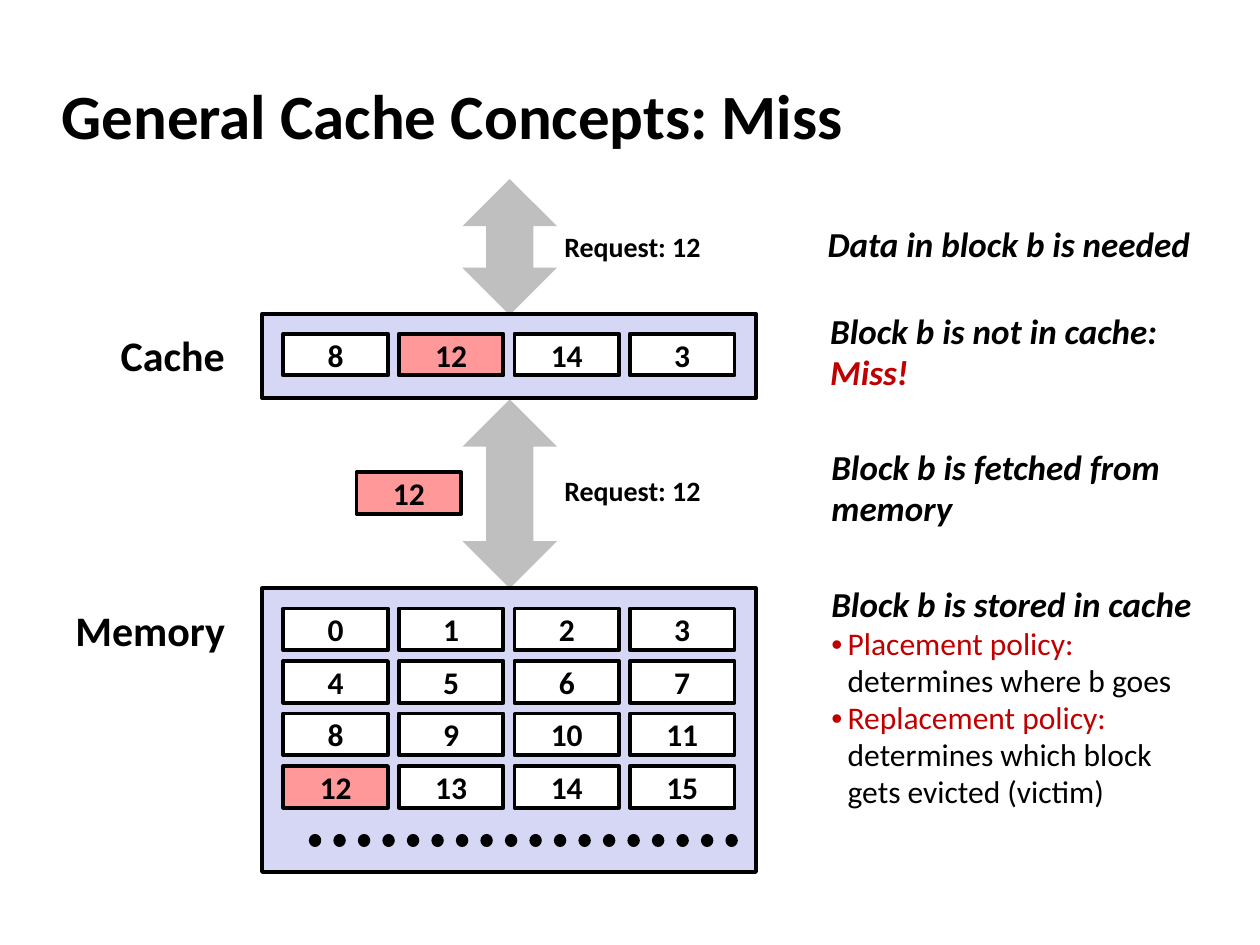
from dataclasses import dataclass

from lxml import etree
from pptx import Presentation
from pptx.dml.color import RGBColor
from pptx.enum import dml, shapes, text
from pptx.oxml import ns
from pptx.util import Inches, Pt


@dataclass(frozen=True)
class Theme:
    font: str = "Calibri"
    ink: str = "000000"
    accent: str = "C00000"
    arrow: str = "BFBFBF"
    panel: str = "D6D6F5"
    block: str = "FFFFFF"
    requested: str = "FF9999"
    title: int = 36
    label: int = 24
    step: int = 20
    body: int = 18
    request: int = 16


theme = Theme()
deck = Presentation()
deck.slide_width, deck.slide_height = Inches(10), Inches(7.5)
slide = deck.slides.add_slide(deck.slide_layouts[6])


def write(area, paragraphs, size, bold=True, italic=False, align=None, start=0):
    """Write paragraphs of (words, colour) runs, from paragraph number start on."""
    for number, runs in enumerate(paragraphs, start):
        paragraph = area.paragraphs[0] if number == 0 else area.add_paragraph()
        paragraph.alignment = align
        for words, colour in runs:
            for index, line in enumerate(words.split("\n")):
                if index:
                    paragraph.add_line_break()
                if line:
                    run = paragraph.add_run()
                    run.text = line
                    run.font.name, run.font.size = theme.font, Pt(size)
                    run.font.bold, run.font.italic = bold, italic
                    run.font.color.rgb = RGBColor.from_string(colour)


def add_box(left, top, width, height, fill, words=None, kind=shapes.MSO_SHAPE.RECTANGLE, outlined=True):
    box = slide.shapes.add_shape(kind, Inches(left), Inches(top), Inches(width), Inches(height))
    box.shadow.inherit = False
    box.fill.solid()
    box.fill.fore_color.rgb = RGBColor.from_string(fill)
    if outlined:
        box.line.color.rgb = RGBColor.from_string(theme.ink)
        box.line.width = Pt(2.25)
    else:
        box.line.fill.background()
    if words:
        box.text_frame.vertical_anchor = text.MSO_ANCHOR.MIDDLE
        write(box.text_frame, [[(words, theme.ink)]], theme.body, align=text.PP_ALIGN.CENTER)


# Data paths and the two storage levels
for top, height in ((1.42, 1.08), (3.17, 1.5)):
    add_box(3.67, top, 0.75, height, theme.arrow, kind=shapes.MSO_SHAPE.UP_DOWN_ARROW, outlined=False)
for top, height in ((4.67, 2.25), (2.49, 0.67)):
    add_box(2.08, top, 3.92, height, theme.panel)

# Blocks in the cache, in memory and on the way between them
block_width, block_height = 0.83, 0.33
column_step, row_step = 11 / 12, 5 / 12
requested_block = 12
blocks = [(2.25 + column * column_step, 2.65, number) for column, number in enumerate((8, 12, 14, 3))]
blocks += [(2.25 + number % 4 * column_step, 4.83 + number // 4 * row_step, number) for number in range(16)]
blocks.append((2.83, 3.75, requested_block))
for left, top, number in blocks:
    fill = theme.requested if number == requested_block else theme.block
    add_box(left, top, block_width, block_height, fill, str(number))

# Dots for the rest of memory
more_memory = slide.shapes.add_connector(
    shapes.MSO_CONNECTOR.STRAIGHT, Inches(2.5), Inches(6.67), Inches(5.83), Inches(6.67))
more_memory.line.color.rgb = RGBColor.from_string(theme.ink)
more_memory.line.width = Pt(7)
more_memory.line.dash_style = dml.MSO_LINE.ROUND_DOT
more_memory.line._get_or_add_ln().set("cap", "rnd")
etree.SubElement(more_memory._element.spPr, ns.qn("a:effectLst"))

# Title, labels and steps: place, paragraphs, size, italic, alignment, anchor
middle, top_anchor = text.MSO_ANCHOR.MIDDLE, text.MSO_ANCHOR.TOP
center = text.PP_ALIGN.CENTER
ink, accent = theme.ink, theme.accent
request = [[("Request: 12", ink)]]
captions = [
    ((0.39, 0.49, 8.3, 0.83), [[("General Cache Concepts: Miss", ink)]], theme.title, False, None, middle),
    ((0.86, 2.57, 1.04, 0.5), [[("Cache", ink)]], theme.label, False, None, top_anchor),
    ((0.5, 4.75, 1.4, 0.5), [[("Memory", ink)]], theme.label, False, None, top_anchor),
    ((4.37, 1.77, 1.3, 0.37), request, theme.request, False, center, top_anchor),
    ((4.37, 3.71, 1.3, 0.37), request, theme.request, False, center, top_anchor),
    ((6.47, 1.73, 3.09, 0.43), [[("Data in block b is needed", ink)]], theme.step, True, None, middle),
    ((6.49, 2.42, 2.81, 0.76), [[("Block b is not in cache:", ink)], [("Miss!", accent)]],
     theme.step, True, None, middle),
    ((6.5, 3.5, 2.83, 0.76), [[("Block b is fetched from", ink)], [("memory", ink)]],
     theme.step, True, None, middle),
    ((6.5, 4.58, 3.07, 1.92), [[("Block b is stored in cache", ink)]], theme.step, True, None, middle),
]
for place, paragraphs, size, italic, align, anchor in captions:
    area = slide.shapes.add_textbox(*map(Inches, place)).text_frame
    area.word_wrap = False
    area.vertical_anchor = anchor
    write(area, paragraphs, size, italic=italic, align=align)
    if italic:
        for paragraph in area.paragraphs:
            paragraph.line_spacing = 0.98

# Policies, bulleted below the last step
policies = [
    [("Placement policy:\n", accent), ("determines where b goes", ink)],
    [("Replacement policy:\n", accent), ("determines which block\ngets evicted (victim)", ink)],
]
write(area, policies, theme.body, bold=False, start=1)
for paragraph in area.paragraphs[1:]:
    properties = paragraph._p.get_or_add_pPr()
    properties.set("marL", str(Inches(0.13)))
    properties.set("indent", str(-Inches(0.13)))
    etree.SubElement(properties, ns.qn("a:buFont"), typeface="Arial")
    etree.SubElement(properties, ns.qn("a:buChar"), char="•")
    paragraph.line_spacing = 0.98

deck.save("out.pptx")
